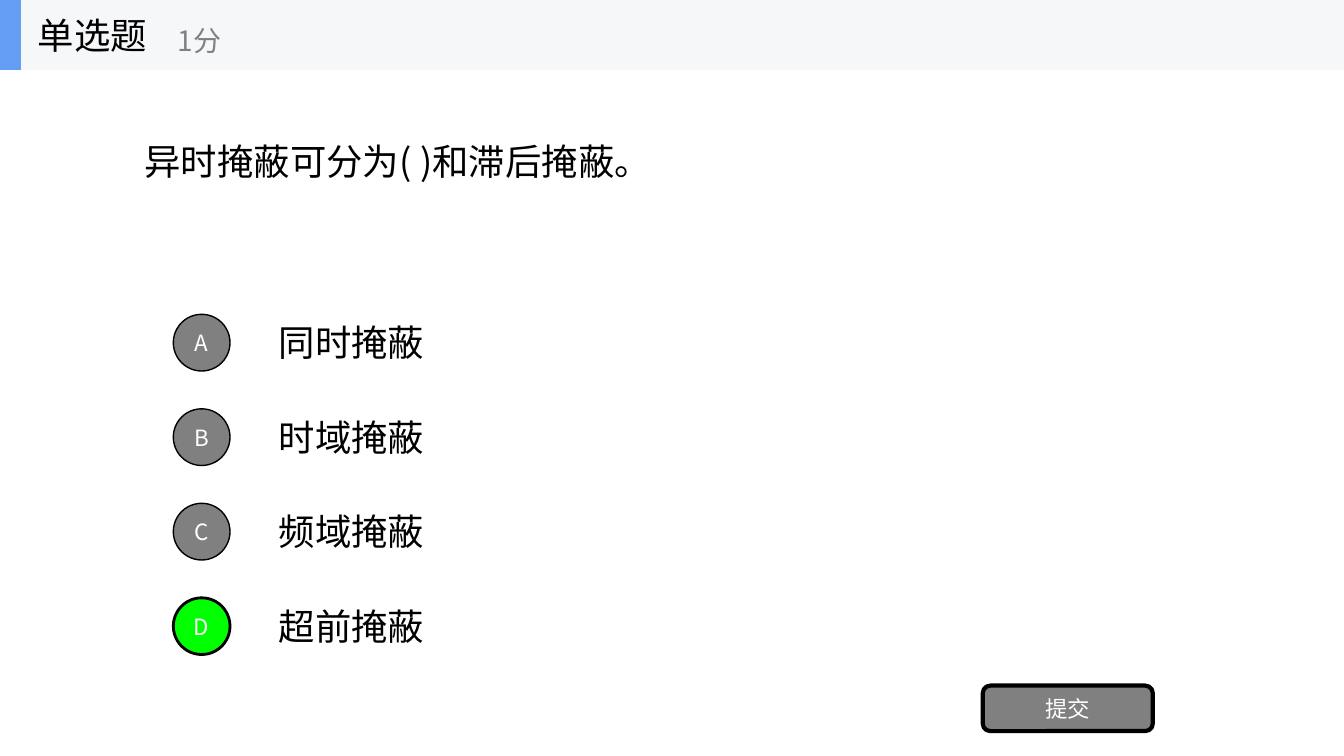
from pptx import Presentation
from pptx.dml.color import RGBColor
from pptx.enum.shapes import MSO_SHAPE
from pptx.enum.text import MSO_ANCHOR, MSO_AUTO_SIZE, PP_ALIGN
from pptx.oxml.ns import qn
from pptx.util import Pt
from lxml.etree import SubElement

BLACK = RGBColor(0x00, 0x00, 0x00)
WHITE = RGBColor(0xFF, 0xFF, 0xFF)
GRAY = RGBColor(0x80, 0x80, 0x80)
GREEN = RGBColor(0x00, 0xFF, 0x00)
PALE = RGBColor(0xF6, 0xF7, 0xF8)
BLUE = RGBColor(0x63, 0x9E, 0xF4)
FONT = "Noto Sans CJK SC"

FRAME = {"word_wrap": True, "auto_size": MSO_AUTO_SIZE.NONE,
         "vertical_anchor": MSO_ANCHOR.MIDDLE}
TIGHT = {"margin_left": 0, "margin_right": 0, "margin_top": 0, "margin_bottom": 0}

OPTIONS = [("A", "同时掩蔽"), ("B", "时域掩蔽"), ("C", "频域掩蔽"), ("D", "超前掩蔽")]
ANSWER = "D"
TOP = 219.5
STEP = 67.5


def apply(target, values):
    for name, value in values.items():
        setattr(target, name, value)


def place(shape, box):
    names = ("left", "top", "width", "height")
    apply(shape, dict(zip(names, map(Pt, box))))


def write(shape, text, size, color, align=PP_ALIGN.LEFT, inset=None):
    frame = shape.text_frame
    apply(frame, FRAME | (inset or {}))
    line = frame.paragraphs[0]
    line.alignment = align
    run = line.add_run()
    run.text = text
    apply(run.font, {"size": Pt(size), "name": FONT})
    run.font.color.rgb = color
    SubElement(run.font._element, qn("a:ea"), typeface=FONT)


def label(slide, box, text, size=26, color=BLACK):
    shape = slide.shapes.add_textbox(*map(Pt, box))
    write(shape, text, size, color)


def block(slide, kind, box, fill, border=0):
    shape = slide.shapes.add_shape(kind, *map(Pt, box))
    shape.shadow.inherit = False
    shape.fill.solid()
    shape.fill.fore_color.rgb = fill
    if border:
        shape.line.color.rgb = BLACK
        shape.line.width = Pt(border)
    else:
        shape.line.fill.background()
    return shape


def button(slide, kind, box, text, fill, border):
    shape = block(slide, kind, box, fill, border)
    write(shape, text, 16, WHITE, PP_ALIGN.CENTER, TIGHT)


def question(slide, text):
    title = slide.shapes.title
    place(title, (96, 49.7, 768, 168.5))
    write(title, text, 26, BLACK, inset={"margin_bottom": Pt(41)})


def choices(slide):
    for row, (letter, text) in enumerate(OPTIONS):
        top = TOP + row * STEP
        fill, border = (GREEN, 2) if letter == ANSWER else (GRAY, 1)
        label(slide, (192, top, 672, 50), text)
        button(slide, MSO_SHAPE.OVAL, (123.8, top + 5, 40.5, 40.5), letter, fill, border)


def header(slide):
    block(slide, MSO_SHAPE.RECTANGLE, (0, 0, 960, 50), PALE)
    block(slide, MSO_SHAPE.RECTANGLE, (0, 0, 15, 50), BLUE)
    label(slide, (20, 0, 150, 50), "单选题")
    label(slide, (120, 9, 180, 40), "1分", 20, GRAY)


def main():
    deck = Presentation()
    apply(deck, {"slide_width": Pt(960), "slide_height": Pt(540)})
    slide = deck.slides.add_slide(deck.slide_layouts[5])
    question(slide, "异时掩蔽可分为( )和滞后掩蔽。")
    choices(slide)
    button(slide, MSO_SHAPE.ROUNDED_RECTANGLE, (702, 489.7, 121.5, 32.5), "提交", GRAY, 3)
    header(slide)
    deck.save("out.pptx")


if __name__ == "__main__":
    main()
